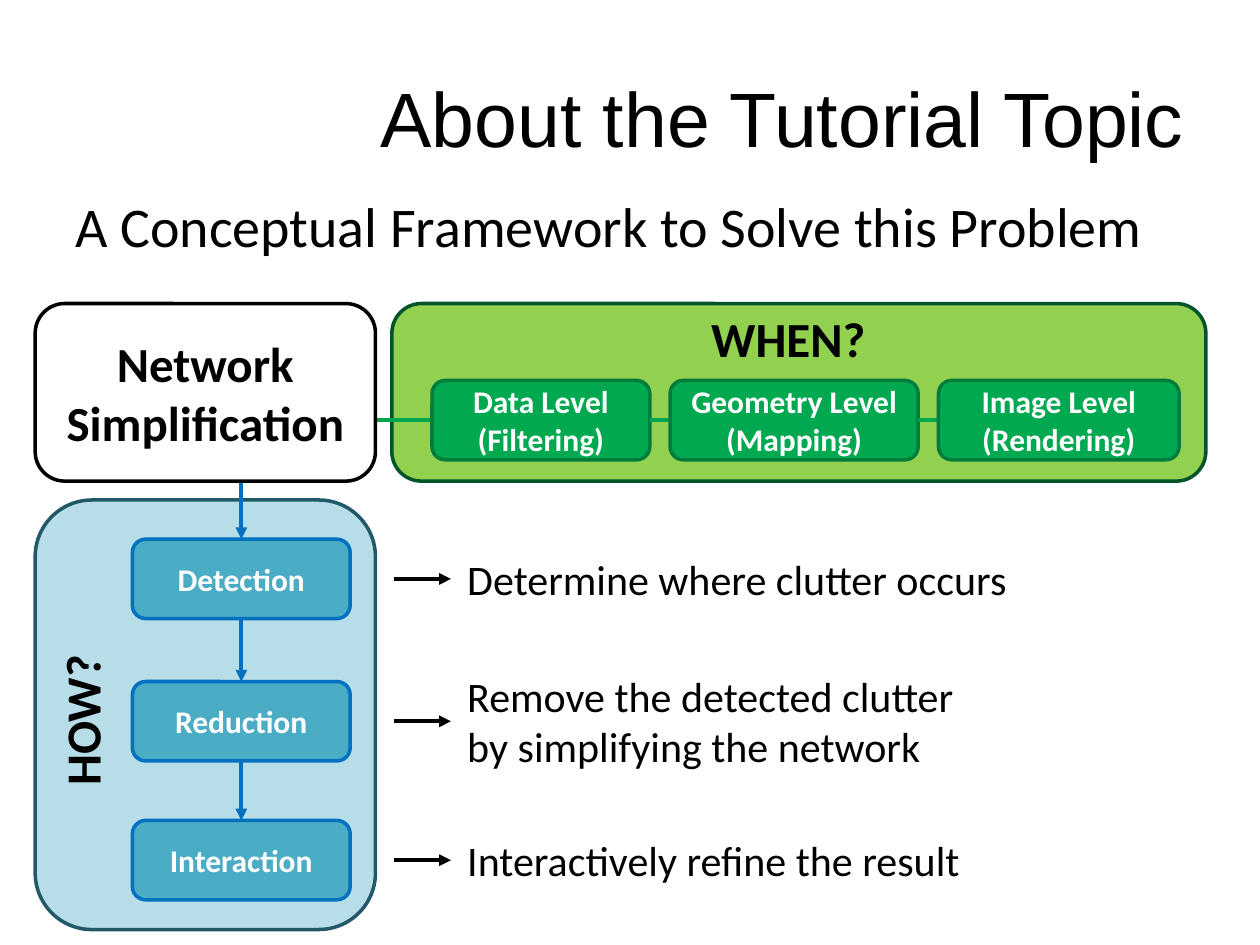
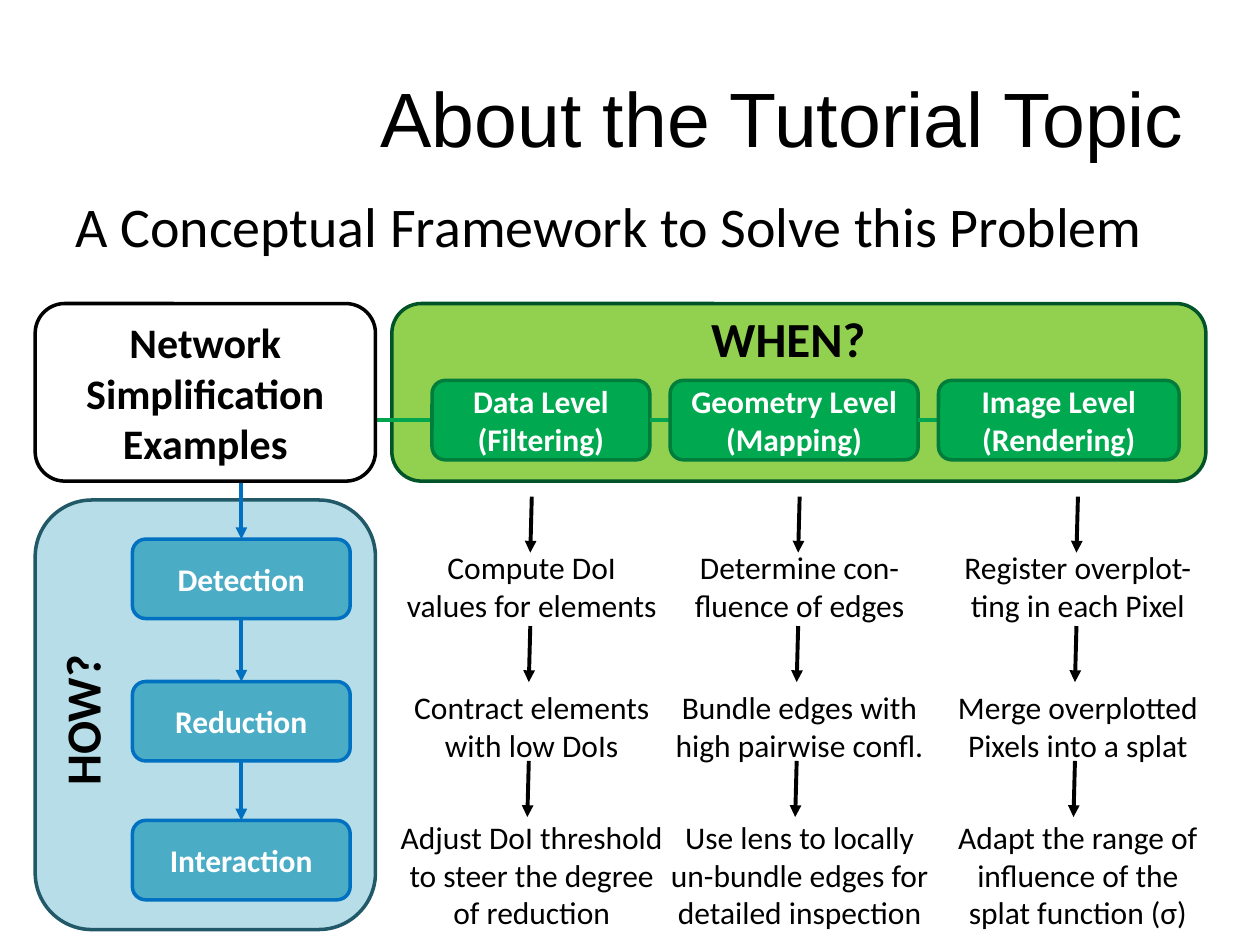
from pptx import Presentation, util as u
from pptx.dml.color import RGBColor
from pptx.enum import shapes, text
from pptx.oxml.ns import qn
from lxml import etree

BLACK = RGBColor(0x00, 0x00, 0x00)
WHITE = RGBColor(0xFF, 0xFF, 0xFF)
LIME = RGBColor(0x92, 0xD0, 0x50)
DARK_GREEN = RGBColor(0x00, 0x54, 0x28)
GREEN = RGBColor(0x00, 0xA9, 0x50)
GREEN_EDGE = RGBColor(0x00, 0x7D, 0x3B)
GREEN_LINE = RGBColor(0x00, 0xA5, 0x4E)
PALE_BLUE = RGBColor(0xB7, 0xDE, 0xE8)
DARK_TEAL = RGBColor(0x21, 0x59, 0x68)
TEAL = RGBColor(0x4B, 0xAC, 0xC6)
BLUE = RGBColor(0x00, 0x70, 0xC0)

LEFT, CENTER, RIGHT = text.PP_ALIGN.LEFT, text.PP_ALIGN.CENTER, text.PP_ALIGN.RIGHT
TOP, MIDDLE = text.MSO_ANCHOR.TOP, text.MSO_ANCHOR.MIDDLE

# Text formats
TITLE = {"name": "Arial", "size": u.Pt(44), "bold": False}
BODY = {"name": "Calibri", "size": u.Pt(32), "bold": False}
NOTE = {**BODY, "size": u.Pt(24)}
CELL = {**BODY, "size": u.Pt(18)}
HEADING = {**BODY, "size": u.Pt(28), "bold": True}
SMALL_HEADING = {**HEADING, "size": u.Pt(24)}
LABEL = {**HEADING, "size": u.Pt(18)}


def box(s, at, words="", fmt=CELL, color=BLACK, fill=None, edge=None,
        align=CENTER, anchor=MIDDLE):
    """Rounded box when a fill is given, otherwise a plain text box."""
    at = [u.Cm(v) for v in at]
    if fill is None:
        sp = s.shapes.add_textbox(*at)
    else:
        sp = s.shapes.add_shape(shapes.MSO_SHAPE.ROUNDED_RECTANGLE, *at)
        sp.shadow.inherit = False
        sp.fill.solid()
        sp.fill.fore_color.rgb = fill
        sp.line.color.rgb = edge
        sp.line.width = u.Pt(2)
    tf = sp.text_frame
    tf.word_wrap = True
    tf.vertical_anchor = anchor
    p = tf.paragraphs[0]
    p.alignment = align
    p.text = words
    for r in p.runs:
        for key, value in fmt.items():
            setattr(r.font, key, value)
        r.font.color.rgb = color
    return sp


def line(s, x1, y1, x2, y2, color, arrow=True):
    ends = [u.Cm(v) for v in (x1, y1, x2, y2)]
    c = s.shapes.add_connector(shapes.MSO_CONNECTOR.STRAIGHT, *ends)
    c.line.color.rgb = color
    c.line.width = u.Pt(2.25)
    if arrow:
        etree.SubElement(c.line._get_or_add_ln(), qn("a:tailEnd"), type="triangle")
    etree.SubElement(c._element.spPr, qn("a:effectLst"))


# Framework geometry in cm
LEVELS = [("Data Level\n(Filtering)", 4.39), ("Geometry Level\n(Mapping)", 5.0),
          ("Image Level\n(Rendering)", 4.85)]
LEVEL_X, LEVEL_Y, LEVEL_GAP = 8.71, 7.67, 0.41
PHASES = [("Detection", 10.87), ("Reduction", 13.74), ("Interaction", 16.54)]
PHASE_X, PHASE_W, BOX_H = 2.67, 4.39, 1.6
CORNER_X, CORNER_W, PANEL_Y, PANEL_H = 0.71, 6.86, 6.12, 3.58

prs = Presentation()
prs.slide_width, prs.slide_height = u.Cm(25.4), u.Cm(19.05)
slides = []

# Shared framework
for corner, fmt in [("Network\nSimplification", HEADING),
                    ("Network\nSimplification\nExamples", SMALL_HEADING)]:
    s = prs.slides.add_slide(prs.slide_layouts[6])
    slides.append(s)
    box(s, (1.27, 0.76, 22.86, 3.18), "About the Tutorial Topic", TITLE, align=RIGHT)
    sp = box(s, (1.27, 3.73, 22.86, 12.57), "A Conceptual Framework to Solve this Problem",
             BODY, align=LEFT, anchor=TOP)
    p = sp.text_frame.paragraphs[0]
    p.space_before, p.space_after = u.Pt(6.4), u.Pt(6)

    # WHEN panel: levels in a row, joined by short lines
    box(s, (7.9, PANEL_Y, 16.41, PANEL_H), fill=LIME, edge=DARK_GREEN)
    x, joint = LEVEL_X, CORNER_X + CORNER_W
    for name, width in LEVELS:
        line(s, joint, LEVEL_Y + BOX_H / 2, x, LEVEL_Y + BOX_H / 2, GREEN_LINE, arrow=False)
        box(s, (x, LEVEL_Y, width, BOX_H), name, LABEL, WHITE, GREEN, GREEN_EDGE)
        joint = x + width
        x = joint + LEVEL_GAP
    box(s, (12.98, 6.1, 5.82, 1.45), "WHEN?", HEADING, anchor=TOP)

    # HOW panel: phases in a column, joined by arrows
    box(s, (CORNER_X, 10.08, CORNER_W, 8.66), fill=PALE_BLUE, edge=DARK_TEAL)
    joint = PANEL_Y + PANEL_H
    for name, y in PHASES:
        line(s, PHASE_X + PHASE_W / 2, joint, PHASE_X + PHASE_W / 2, y, BLUE)
        box(s, (PHASE_X, y, PHASE_W, BOX_H), name, LABEL, WHITE, TEAL, BLUE)
        joint = y + BOX_H
    sp = box(s, (-1.27, 13.79, 5.82, 1.45), "HOW?", HEADING, anchor=TOP)
    sp.rotation = 270

    # Corner box
    box(s, (CORNER_X, PANEL_Y, CORNER_W, PANEL_H), corner, fmt, fill=WHITE, edge=BLACK)

# Slide 1: what each phase does
MEANINGS = [("Determine where clutter occurs", 1.27),
            ("Remove the detected clutter\nby simplifying the network", 2.31),
            ("Interactively refine the result", 1.27)]
for (name, y), (words, height) in zip(PHASES, MEANINGS):
    middle = y + BOX_H / 2
    line(slides[0], 7.95, middle, 9.09, middle, BLACK)
    box(slides[0], (9.17, middle - height / 2, 11.53, height), words, NOTE,
        align=LEFT, anchor=TOP)

# Slide 2: one example per level and phase
EXAMPLES = [
    (10.72, ["Compute DoI\nvalues for elements", "Contract elements\nwith low DoIs",
             "Adjust DoI threshold\nto steer the degree\nof reduction"]),
    (16.12, ["Determine con-\nfluence of edges", "Bundle edges with\nhigh pairwise confl.",
             "Use lens to locally\nun-bundle edges for\ndetailed inspection"]),
    (21.73, ["Register overplot-\nting in each Pixel", "Merge overplotted\nPixels into a splat",
             "Adapt the range of\ninfluence of the\nsplat function (σ)"]),
]
ROWS = [(10.01, 10.92, 1.8), (12.62, 13.74, 1.8), (15.34, 16.36, 2.57)]
CELL_W, ARROW_H, DRIFT = 5.94, 1.13, 0.03
for center, column in EXAMPLES:
    for i, (words, (arrow_y, y, height)) in enumerate(zip(column, ROWS)):
        box(slides[1], (center - CELL_W / 2, y, CELL_W, height), words, anchor=TOP)
        line(slides[1], center - DRIFT * i, arrow_y,
             center - DRIFT * (i + 1), arrow_y + ARROW_H, BLACK)

prs.save("out.pptx")
